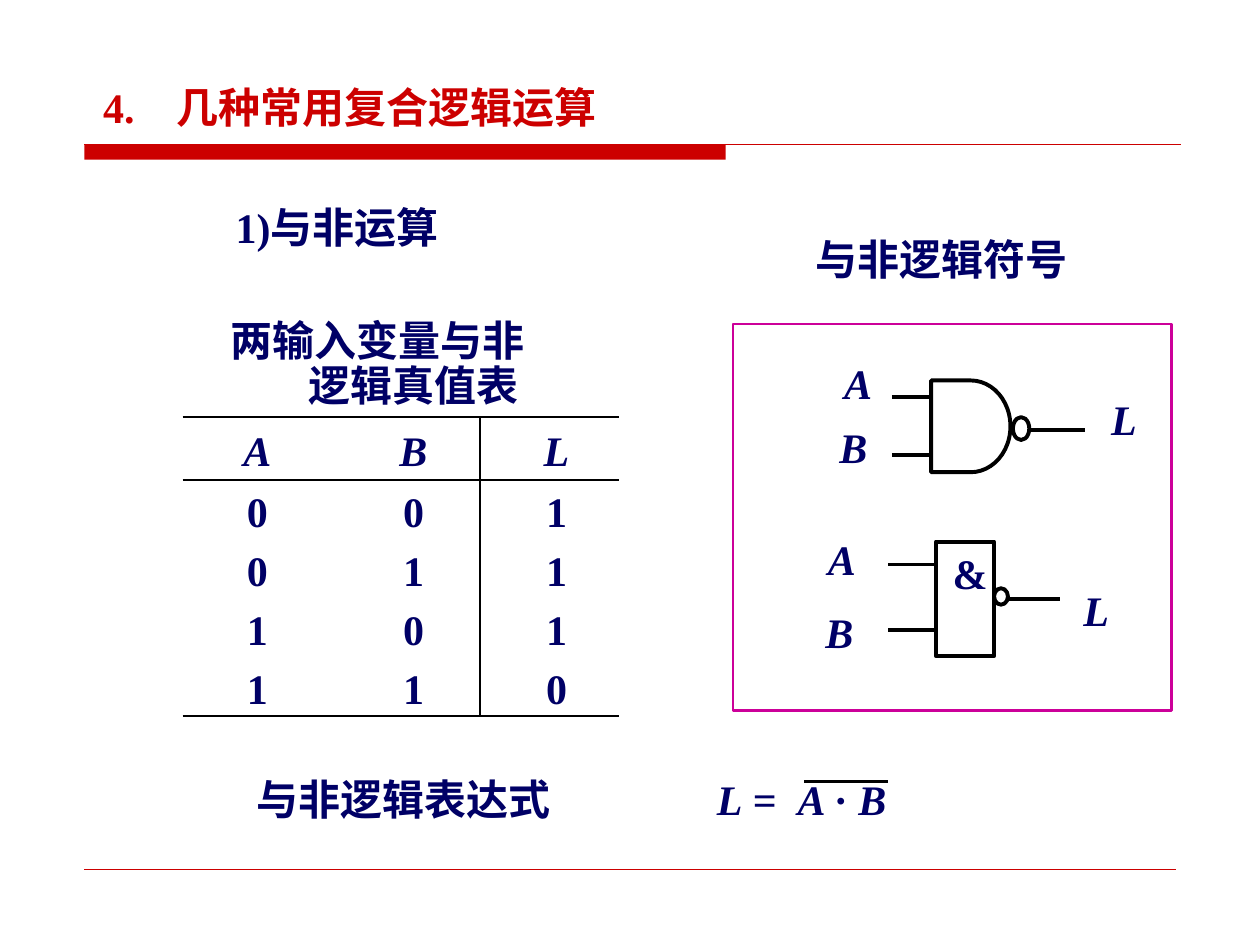
from lxml.etree import SubElement
from pptx import Presentation
from pptx.dml.color import RGBColor
from pptx.enum.shapes import MSO_CONNECTOR, MSO_SHAPE
from pptx.enum.text import MSO_ANCHOR, PP_ALIGN
from pptx.oxml import parse_xml
from pptx.oxml.ns import nsdecls, qn
from pptx.util import Cm, Pt

COLOURS = {"red": "CC0000", "navy": "000066", "black": "000000", "magenta": "CC0099"}


class SlideBuilder:
    font_name = "Times New Roman"
    font_size = Pt(24)

    def __init__(self, slide):
        self.slide = slide

    def colour(self, name):
        return RGBColor.from_string(COLOURS[name])

    def style(self, paragraph, colour="navy", italic=None):
        paragraph.font.name = self.font_name
        paragraph.font.size = self.font_size
        paragraph.font.bold = True
        paragraph.font.italic = italic
        paragraph.font.color.rgb = self.colour(colour)

    def text(self, content, left, top, width, height=1.27, inset=(0.25, 0.13), colour="navy",
             italic=None, align=PP_ALIGN.LEFT, spacing=None, wrap=True, tab=None, hanging=None):
        shape = self.slide.shapes.add_textbox(Cm(left), Cm(top), Cm(width), Cm(height))
        frame = shape.text_frame
        frame.word_wrap = wrap
        frame.margin_left = frame.margin_right = Cm(inset[0])
        frame.margin_top = frame.margin_bottom = Cm(inset[1])
        paragraph = frame.paragraphs[0]
        paragraph.alignment = align
        if spacing:
            paragraph.line_spacing = spacing
        properties = paragraph._p.get_or_add_pPr()
        if hanging:
            properties.set("marL", str(Cm(hanging[0])))
            properties.set("indent", str(Cm(hanging[1])))
        if tab:
            tabs = SubElement(properties, qn("a:tabLst"))
            SubElement(tabs, qn("a:tab"), pos=str(Cm(tab)), algn="l")
        if isinstance(content, str):
            paragraph.text = content
        else:
            for run_text, run_italic in content:
                run = paragraph.add_run()
                run.text = run_text
                run.font.italic = run_italic
        self.style(paragraph, colour, italic)

    def label(self, content, left, top, width=0.56, italic=True):
        self.text(content, left, top, width, 0.91, inset=(0, 0), italic=italic,
                  align=PP_ALIGN.CENTER, spacing=0.9, wrap=False)

    def line(self, left, top, right, colour="black", weight=1.5):
        connector = self.slide.shapes.add_connector(
            MSO_CONNECTOR.STRAIGHT, Cm(left), Cm(top), Cm(right), Cm(top))
        connector.line.color.rgb = self.colour(colour)
        connector.line.width = Pt(weight)
        SubElement(connector._element.spPr, qn("a:effectLst"))

    def shape(self, kind, left, top, width, height, colour="black", weight=2.25, filled=False):
        shape = self.slide.shapes.add_shape(kind, Cm(left), Cm(top), Cm(width), Cm(height))
        shape.shadow.inherit = False
        if filled:
            shape.fill.solid()
            shape.fill.fore_color.rgb = self.colour(colour)
            shape.line.fill.background()
        else:
            shape.fill.background()
            shape.line.color.rgb = self.colour(colour)
            shape.line.width = Pt(weight)

    def border(self, cell, sides):
        properties = cell._tc.get_or_add_tcPr()
        for index, side in enumerate("LRTB"):
            fill = "<a:noFill/>"
            if side in sides:
                fill = f'<a:solidFill><a:srgbClr val="{COLOURS["black"]}"/></a:solidFill>'
            properties.insert(index, parse_xml(
                f'<a:ln{side} {nsdecls("a")} w="{Pt(1.5)}">{fill}</a:ln{side}>'))

    def truth_table(self, rows, left, top, widths, heights):
        table = self.slide.shapes.add_table(
            len(rows), len(widths), Cm(left), Cm(top), Cm(sum(widths)), Cm(sum(heights))).table
        table.first_row = table.horz_banding = False
        for column, width in zip(table.columns, widths):
            column.width = Cm(width)
        for row, height in zip(table.rows, heights):
            row.height = Cm(height)
        for row_index, values in enumerate(rows):
            for column_index, value in enumerate(values):
                cell = table.cell(row_index, column_index)
                cell.fill.background()
                cell.vertical_anchor = MSO_ANCHOR.MIDDLE
                cell.margin_left = Cm(0.3 if column_index else 0)
                cell.margin_right = cell.margin_bottom = 0
                cell.margin_top = Cm(0.2)
                sides = "TB" if row_index == 0 else ""
                sides += "T" if row_index == 1 else ""
                sides += "B" if row_index == len(rows) - 1 else ""
                sides += {1: "R", 2: "L"}.get(column_index, "")
                self.border(cell, sides)
                paragraph = cell.text_frame.paragraphs[0]
                paragraph.text = value
                paragraph.alignment = PP_ALIGN.CENTER
                paragraph.line_spacing = 0.9
                self.style(paragraph, italic=row_index == 0)

    def gate(self, kind, body, bubble, inputs, output, labels):
        for top in inputs[2:]:
            self.line(inputs[0], top, inputs[1], weight=2.25)
        self.shape(kind, *body)
        self.shape(MSO_SHAPE.OVAL, *bubble)
        self.line(*output, weight=2.25)
        for name, position in zip("ABL", labels):
            self.label(name, *position)


def main():
    presentation = Presentation()
    presentation.slide_width, presentation.slide_height = Cm(25.4), Cm(19.05)
    builder = SlideBuilder(presentation.slides.add_slide(presentation.slide_layouts[6]))

    builder.shape(MSO_SHAPE.RECTANGLE, 1.7, 2.92, 12.93, 0.3, "red", filled=True)
    builder.line(1.7, 2.92, 23.8, "red", 0.75)
    builder.line(1.7, 17.53, 23.7, "red", 0.25)
    builder.text("4.\t几种常用复合逻辑运算", 1.83, 1.52, 11, colour="red", tab=1.48)
    builder.text("1)与非运算", 4.5, 3.94, 5.51)

    builder.text("两输入变量与非\v逻辑真值表", 3.68, 6.45, 8.76, 1.83, inset=(0, 0),
                 spacing=0.9, hanging=(2.54, -1.57))
    builder.truth_table(["ABL", "001", "011", "101", "110"], 3.68, 8.41,
                        [3.02, 2.97, 2.8], [1.27] + [1.19] * 4)

    builder.label("与非逻辑符号", 16.03, 4.83, 5.92, italic=None)
    builder.shape(MSO_SHAPE.RECTANGLE, 14.78, 6.53, 8.84, 7.8, "magenta", 1.5)
    builder.gate(MSO_SHAPE.FLOWCHART_DELAY, (18.77, 7.67, 1.6, 1.85), (20.42, 8.41, 0.33, 0.46),
                 (17.98, 18.77, 8, 9.17), (20.73, 8.66, 21.87),
                 [(17.02, 7.32), (16.92, 8.61), (22.38, 8.05)])
    builder.gate(MSO_SHAPE.RECTANGLE, (18.87, 10.92, 1.17, 2.31), (20.04, 11.86, 0.28, 0.33),
                 (17.91, 18.87, 11.38, 12.7), (20.32, 12.07, 21.36),
                 [(16.69, 10.87), (16.64, 12.34), (21.82, 11.89)])
    builder.label("&", 19.2, 11.15, 0.71, italic=None)

    builder.text("与非逻辑表达式", 4.93, 15.47, 7)
    builder.text([("L", True), (" =\t", False), ("A ", True), ("· ", False), ("B", True)],
                 14.2, 15.47, 5.13, tab=1.63)
    builder.line(16.21, 15.75, 17.91)

    presentation.save("out.pptx")


if __name__ == "__main__":
    main()
